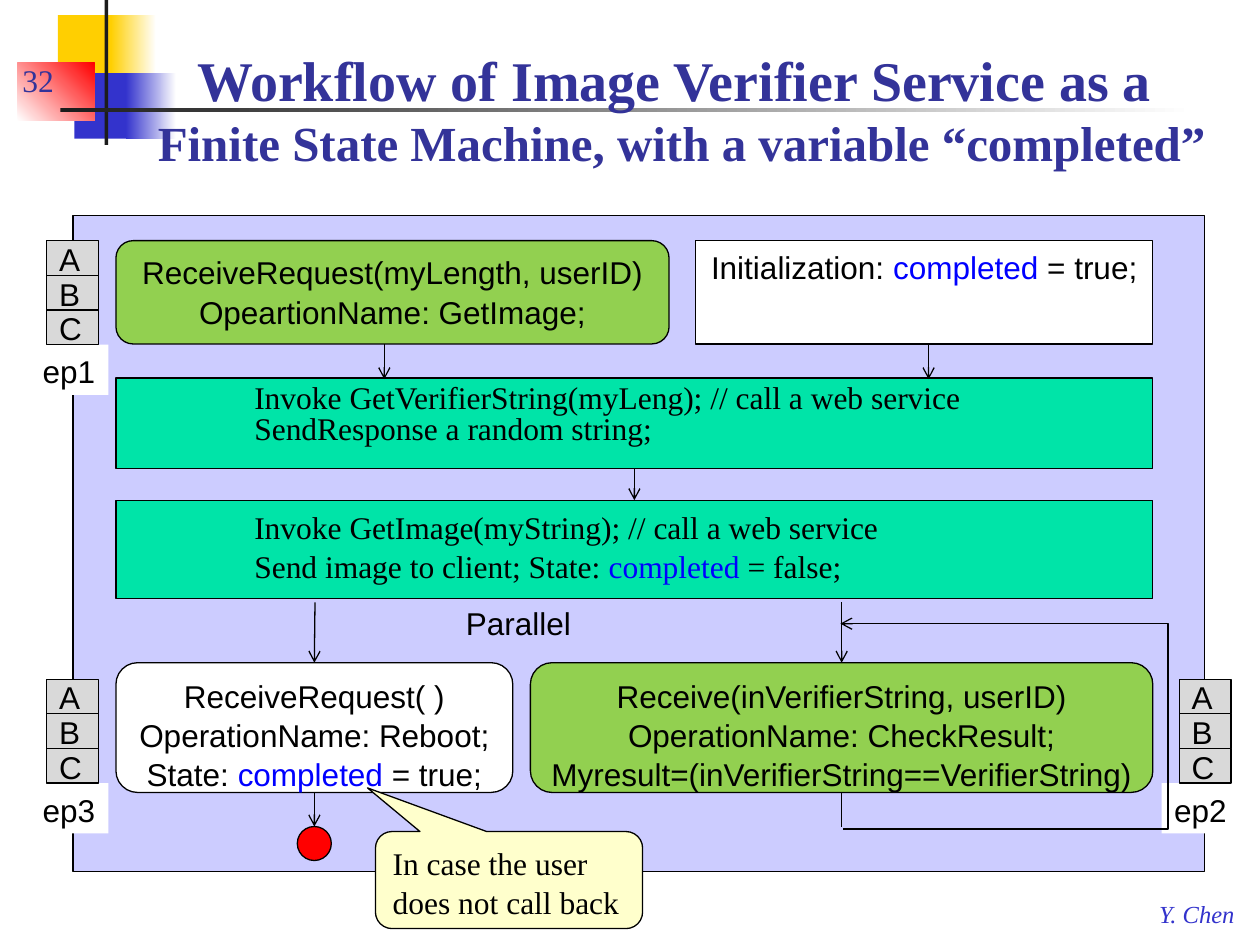
"""Build the slide showing the image verifier workflow as a finite state machine."""
from dataclasses import dataclass

from lxml.etree import SubElement
from pptx import Presentation
from pptx.dml.color import RGBColor as Color
from pptx.enum.shapes import MSO_CONNECTOR as Link, MSO_SHAPE as Kind
from pptx.enum.text import MSO_ANCHOR as Anchor, MSO_AUTO_SIZE as Fit, PP_ALIGN as Align
from pptx.oxml.ns import qn
from pptx.util import Inches, Pt


@dataclass(frozen=True)
class Theme:
    serif: str = "Times New Roman"
    sans: str = "Arial"
    title_size: int = 32
    subtitle_size: int = 28
    text_size: int = 18
    credit_size: int = 14
    hairline: float = 0.75
    leading: float = 1.04
    ink: str = "000000"
    title: str = "333399"
    accent: str = "0000FF"
    blue: str = "3333CC"
    yellow: str = "FFCF01"
    red: str = "FF0000"
    dark: str = "1C1C1C"
    white: str = "FFFFFF"
    panel: str = "CCCCFF"
    step: str = "00E4A8"
    receive: str = "92D050"
    port: str = "D9D9D9"
    note: str = "FFFFCC"


theme = Theme()
deck = Presentation()
deck.slide_width, deck.slide_height = Inches(10), Inches(7.5)
column, row = deck.slide_width / 100, deck.slide_height / 75
page = deck.slides.add_slide(deck.slide_layouts[5])


def write(box, text, font=theme.sans, size=theme.text_size, color=theme.ink, bold=False,
          italic=False, align=Align.LEFT, anchor=Anchor.TOP, wrap=True, fit=Fit.NONE,
          leading=theme.leading):
    """Fill a box with lines of text; parts between asterisks take the accent colour."""
    frame = box.text_frame
    frame.word_wrap, frame.auto_size, frame.vertical_anchor = wrap, fit, anchor
    for number, line in enumerate(text.split("\n")):
        para = frame.add_paragraph() if number else frame.paragraphs[0]
        para.alignment, para.line_spacing = align, leading
        for index, part in enumerate(line.split("*")):
            span = para.add_run()
            span.text = part
            span.font.name, span.font.size = font, Pt(size)
            span.font.bold, span.font.italic = bold, italic
            span.font.color.rgb = Color.from_string(theme.accent if index % 2 else color)


def draw(left, top, width, height, fill, kind=Kind.RECTANGLE, outline=True, fade=None,
         angle=0, parent=page):
    """Add a preset shape, measured in columns and rows, with a solid or fading fill."""
    box = parent.shapes.add_shape(kind, *(round(length) for length in (
        left * column, top * row, width * column, height * row)))
    box.shadow.inherit = False
    if fade:
        box.fill.gradient()
        box.fill.gradient_angle = angle
        for stop, shade in zip(box.fill.gradient_stops, (fill, fade)):
            stop.color.rgb = Color.from_string(shade)
    else:
        box.fill.solid()
        box.fill.fore_color.rgb = Color.from_string(fill)
    if outline:
        box.line.color.rgb = Color.from_string(theme.ink)
        box.line.width = Pt(theme.hairline)
    else:
        box.line.fill.background()
    return box


for area, fill, fade, angle in (
    ((4.6, 1.2, 4.8, 5.2), theme.yellow, None, 0),
    ((8.8, 1.2, 3.6, 5.2), theme.yellow, theme.white, 0),
    ((5.9, 5.8, 4.6, 5.2), theme.blue, None, 0),
    ((10, 5.8, 4, 5.2), theme.blue, theme.white, 0),
    ((1.4, 5, 6.1, 4.6), theme.white, theme.red, 45),
    ((8.3, 0, 0.3, 11.5), theme.dark, None, 0),
    ((4.8, 8.6, 90, 0.3), theme.dark, theme.white, 0),
):
    draw(*area, fill, outline=False, fade=fade, angle=angle)

title = page.shapes.title
title.left, title.top = round(9.9 * column), round(2.9 * row)
title.width, title.height = round(88.4 * column), round(11.2 * row)
write(title, "Workflow of Image Verifier Service as a ", theme.serif, theme.title_size,
      theme.title, bold=True, align=Align.CENTER, anchor=Anchor.BOTTOM, leading=1.0)
heading = title.text_frame.paragraphs[0]
heading.add_line_break()
span = heading.add_run()
span.text = "Finite State Machine, with a variable “completed”"
span.font.name, span.font.size, span.font.bold = theme.serif, Pt(theme.subtitle_size), True
span.font.color.rgb = Color.from_string(theme.title)
title.element.getparent().append(title.element)

draw(5.8, 17.1, 89.8, 52.1, theme.panel)

left, width = 9.2, 82.3
centred = {"align": Align.CENTER}
serif = {"font": theme.serif}
steps = {}
for name, area, fill, kind, text, style in (
    ("verifier", (left, 30, width, 7.2), theme.step, Kind.RECTANGLE,
     "\t\tInvoke GetVerifierString(myLeng); // call a web service\n"
     "\t\tSendResponse a random string;", {**serif, "leading": Pt(18)}),
    ("image", (left, 39.7, width, 7.8), theme.step, Kind.RECTANGLE,
     "\t\tInvoke GetImage(myString); // call a web service\n"
     "\t\tSend image to client; State: *completed* = false;", serif),
    ("reboot", (left, 52.6, 31.5, 10.3), theme.white, Kind.ROUNDED_RECTANGLE,
     "ReceiveRequest( )\nOperationName: Reboot;\nState: *completed* = true;", centred),
    ("check", (42.1, 52.6, 49.4, 10.3), theme.receive, Kind.ROUNDED_RECTANGLE,
     "Receive(inVerifierString, userID)\nOperationName: CheckResult;\n"
     "Myresult=(inVerifierString==VerifierString)", centred),
    ("request", (left, 19.1, 43.9, 8.2), theme.receive, Kind.ROUNDED_RECTANGLE,
     "ReceiveRequest(myLength, userID)\nOpeartionName: GetImage;", centred),
    ("start", (55.2, 19.1, 36.3, 8.2), theme.white, Kind.RECTANGLE,
     "Initialization: *completed* = true;", centred),
):
    steps[name] = draw(*area, fill, kind)
    write(steps[name], text, **style)
steps["end"] = draw(23.6, 65.6, 2.7, 2.7, theme.red, Kind.OVAL)

for name, label_left, port_left, port_top in (
    ("ep3", 2.4, 3.7, 53.9), ("ep2", 92.2, 93.6, 53.9), ("ep1", 2.4, 3.7, 19.1),
):
    label = draw(label_left, port_top + 8.25, 6.2, 4, theme.white, outline=False)
    write(label, name, wrap=False, fit=Fit.SHAPE_TO_FIT_TEXT)
    ports = page.shapes.add_group_shape()
    for index, letter in enumerate("ABC"):
        port = draw(port_left, port_top + 2.75 * index, 4.1, 2.75, theme.port, parent=ports)
        write(port, letter, anchor=Anchor.MIDDLE)

arrows = []
for x, top, bottom, source, target, arrow in (
    (30.5, 27.3, 30.1, None, None, True),
    (73.7, 27.3, 30.1, None, None, True),
    (50.4, 37.2, 39.7, "verifier", "image", True),
    (25, 47.8, 52.6, None, "reboot", True),
    (66.8, 47.8, 52.6, None, "check", True),
    (25, 62.9, 65.6, "reboot", "end", True),
    (66.8, 62.9, 65.6, "check", None, False),
):
    link = page.shapes.add_connector(Link.STRAIGHT, round(x * column), round(top * row),
                                     round(x * column), round(bottom * row))
    if source:
        link.begin_connect(steps[source], 2)
    if target:
        link.end_connect(steps[target], 0)
    SubElement(link.element.spPr, qn("a:effectLst"))
    arrows.append((link, arrow))

corners = [(round(x * column), round(y * row)) for x, y in (
    (66.9, 65.8), (92.7, 65.8), (92.7, 49.5), (66.7, 49.5))]
outline = page.shapes.build_freeform(*corners[0])
outline.add_line_segments(corners[1:], close=False)
retry = outline.convert_to_shape()
retry.shadow.inherit = False
retry.fill.background()
arrows.append((retry, True))

for link, arrow in arrows:
    link.line.color.rgb = Color.from_string(theme.ink)
    link.line.width = Pt(theme.hairline)
    if arrow:
        SubElement(link.element.spPr.find(qn("a:ln")), qn("a:tailEnd"), type="arrow")

callout = draw(29.8, 66, 21.2, 7.7, theme.note, Kind.ROUNDED_RECTANGULAR_CALLOUT)
for index, value in enumerate((-0.53, -0.95, 0.17)):
    callout.adjustments[index] = value
write(callout, "In case the user does not call back", **serif)

grow = {"wrap": False, "fit": Fit.SHAPE_TO_FIT_TEXT}
for area, text, style in (
    ((36, 47.3, 10.4, 4), "Parallel", grow),
    ((0.8, 3.3, 7.8, 5), "32", {**serif, "color": theme.title, "anchor": Anchor.BOTTOM}),
    ((91, 70.8, 8.2, 3.3), "Y. Chen",
     {**serif, **grow, "size": theme.credit_size, "color": theme.blue, "italic": True}),
):
    box = page.shapes.add_textbox(*(round(length * unit) for length, unit in zip(
        area, (column, row, column, row))))
    write(box, text, **style)

deck.save("out.pptx")
